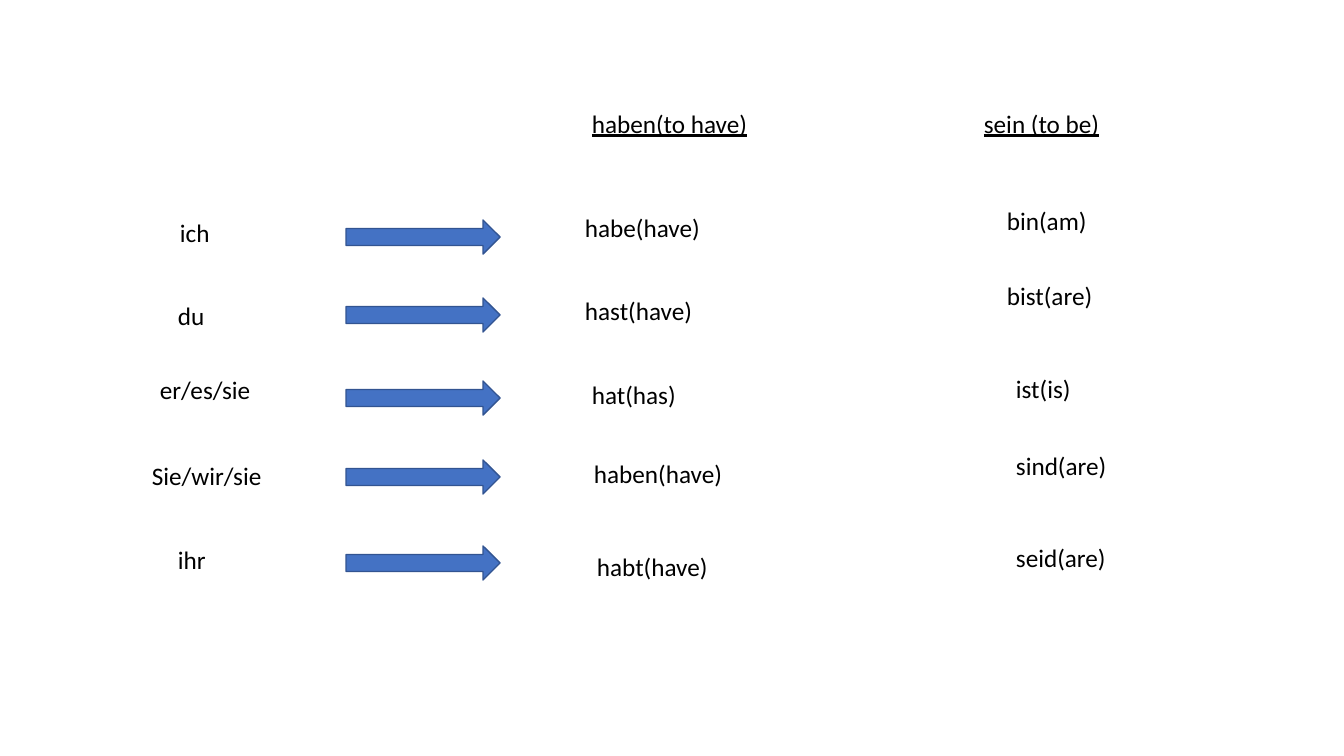
from pptx import Presentation
from pptx.dml.color import RGBColor
from pptx.enum.shapes import MSO_SHAPE
from pptx.enum.text import MSO_AUTO_SIZE
from pptx.util import Emu, Pt

RIGHT_ARROW = MSO_SHAPE.RIGHT_ARROW
GROW = MSO_AUTO_SIZE.SHAPE_TO_FIT_TEXT
PIXEL = 914400 / 100.8
TEXT_HEIGHT = 40
FORM_WIDTH = 154

PRONOUNS = [
    ("ich", 28, 12, 91),
    ("du", 26, 95, 91),
    ("er/es/sie", 8, 169, 127),
    ("Sie/wir/sie", 0, 255, 185),
    ("ihr", 26, 339, 91),
]
HABEN_FORMS = [
    ("habe(have)", 0, 7, FORM_WIDTH),
    ("hast(have)", 0, 90, FORM_WIDTH),
    ("hat(has)", 7, 174, FORM_WIDTH),
    ("haben(have)", 9, 253, FORM_WIDTH),
    ("habt(have)", 12, 346, FORM_WIDTH),
]
SEIN_FORMS = [
    ("bin(am)", 0, 0, FORM_WIDTH),
    ("bist(are)", 0, 75, FORM_WIDTH),
    ("ist(is)", 9, 168, FORM_WIDTH),
    ("sind(are)", 9, 245, FORM_WIDTH),
    ("seid(are)", 9, 337, 114),
]
HEADINGS = [("haben(to have)", 0, 0, 180), ("sein (to be)", 392, 0, 172)]
ARROW_TOPS = [20, 98, 181, 260, 346]


def pixels(*lengths):
    """Turn pixel lengths into EMU."""
    return [Emu(round(length * PIXEL)) for length in lengths]


def color(hex_string):
    """Return the colour for a hex string."""
    return RGBColor.from_string(hex_string)


def add_text(slide, text, box, size=18, font="Calibri", fill="000000", underline=False):
    """Add a wrapping text box with one formatted run."""
    frame = slide.shapes.add_textbox(*pixels(*box)).text_frame
    frame.word_wrap = True
    frame.auto_size = GROW
    run = frame.paragraphs[0].add_run()
    run.text = text
    run.font.size = Pt(size)
    run.font.name = font
    run.font.color.rgb = color(fill)
    if underline:
        run.font.underline = True


def add_words(slide, left, top, words, **text_format):
    """Place words at their offsets from the left top corner of a region."""
    for text, across, down, width in words:
        box = (left + across, top + down, width, TEXT_HEIGHT)
        add_text(slide, text, box, **text_format)


def add_arrows(slide, left, top, width, height, offsets):
    """Place a column of right arrows at their offsets from its top."""
    for offset in offsets:
        arrow = slide.shapes.add_shape(
            RIGHT_ARROW, *pixels(left, top + offset, width, height)
        )
        arrow.shadow.inherit = False
        arrow.fill.solid()
        arrow.fill.fore_color.rgb = color("4472C4")
        arrow.line.color.rgb = color("325491")
        arrow.line.width = Pt(1)


def build_conjugation_slide(presentation):
    """Build the slide that conjugates haben and sein."""
    slide = presentation.slides.add_slide(presentation.slide_layouts[6])
    add_words(slide, 582, 103, HEADINGS, underline=True)
    add_words(slide, 142, 200, PRONOUNS)
    add_arrows(slide, 346, 200, 154, 34, ARROW_TOPS)
    add_words(slide, 575, 200, HABEN_FORMS)
    add_words(slide, 997, 200, SEIN_FORMS)


presentation = Presentation()
presentation.slide_width, presentation.slide_height = pixels(1344, 756)
build_conjugation_slide(presentation)
presentation.save("out.pptx")
